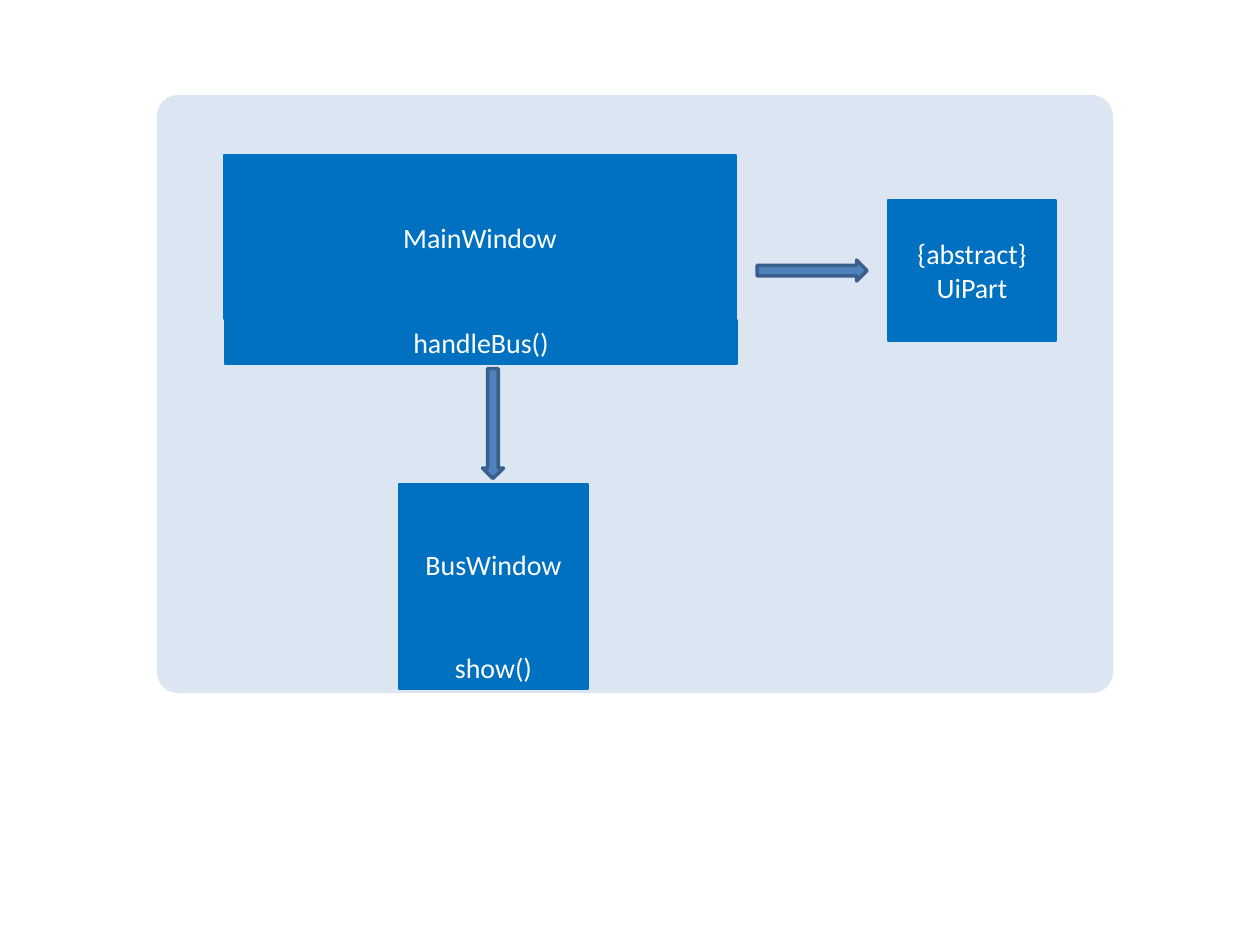
"""Builds the class diagram slide of the main window and its related classes."""
from pptx import Presentation
from pptx.dml.color import RGBColor
from pptx.enum.shapes import MSO_SHAPE
from pptx.enum.text import MSO_ANCHOR, PP_ALIGN
from pptx.util import Emu, Pt

RECTANGLE = MSO_SHAPE.RECTANGLE
ROUNDED = MSO_SHAPE.ROUNDED_RECTANGLE
LEFT_ARROW = MSO_SHAPE.LEFT_ARROW
MIDDLE = MSO_ANCHOR.MIDDLE
CENTER = PP_ALIGN.CENTER
EMU_PER_PIXEL = 914400 / 126


def px(length):
    return Emu(round(length * EMU_PER_PIXEL))


def rgb(value):
    return RGBColor.from_string(value)


def write(shape, text, size=16, font="Calibri", color="FFFFFF", align=CENTER):
    frame = shape.text_frame
    frame.word_wrap = True
    frame.vertical_anchor = MIDDLE
    frame.text = text
    for paragraph in frame.paragraphs:
        paragraph.alignment = align
        for run in paragraph.runs:
            run.font.size = Pt(size)
            run.font.name = font
            run.font.color.rgb = rgb(color)


class Diagram:
    panel_fill = "DCE6F2"
    box_fill = "0070C0"
    arrow_fill = "4F81BD"
    arrow_line = "3A5F8C"

    def __init__(self, slide):
        self.slide = slide

    def shape(self, kind, bounds, fill, line=None, width=1.5):
        shape = self.slide.shapes.add_shape(kind, *map(px, bounds))
        shape.shadow.inherit = False
        shape.fill.solid()
        shape.fill.fore_color.rgb = rgb(fill)
        if line:
            shape.line.color.rgb = rgb(line)
            shape.line.width = Pt(width)
        else:
            shape.line.fill.background()
        return shape

    def panel(self, *bounds):
        panel = self.shape(ROUNDED, bounds, self.panel_fill)
        panel.adjustments[0] = 0.035

    def box(self, text, *bounds):
        write(self.shape(RECTANGLE, bounds, self.box_fill, self.box_fill), text)

    def arrow(self, rotation, *bounds):
        arrow = self.shape(LEFT_ARROW, bounds, self.arrow_fill, self.arrow_line, 2)
        arrow.rotation = rotation


presentation = Presentation()
presentation.slide_width = px(1260)
presentation.slide_height = px(945)
blank_layout = presentation.slide_layouts[6]
diagram = Diagram(presentation.slides.add_slide(blank_layout))

diagram.panel(157, 95, 956, 598)
diagram.box("BusWindow", 399, 484, 189, 161)
diagram.box("{abstract}\nUiPart", 888, 200, 168, 141)
diagram.box("MainWindow", 224, 155, 512, 164)
diagram.box("handleBus()", 225, 320, 512, 44)
diagram.arrow(270, 438, 413, 110, 21)
diagram.arrow(180, 757, 260, 110, 21)
diagram.box("show()", 399, 645, 189, 44)

presentation.save("out.pptx")
